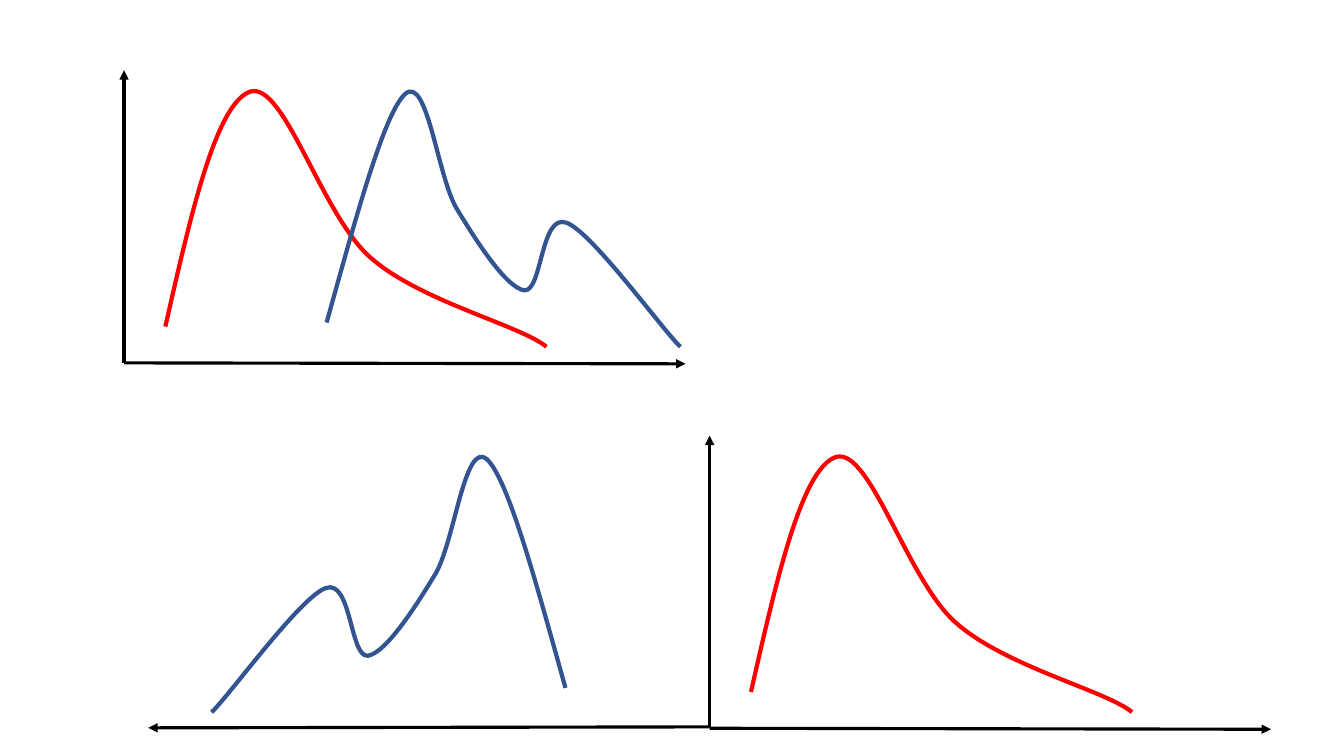
from lxml import etree
from pptx import Presentation
from pptx.dml.color import RGBColor as RGB
from pptx.enum.shapes import MSO_CONNECTOR as CONN
from pptx.oxml.ns import qn
from pptx.util import Pt

BLACK = RGB(0x00, 0x00, 0x00)
RED = RGB(0xFF, 0x00, 0x00)
BLUE = RGB(0x32, 0x54, 0x91)

AXIS_WIDTH, AXIS_HEIGHT, AXIS_DROP = 401, 209, 0.7

# Curves in points from the axes' origin: a start, then
# two control points and an end point for each Bezier segment
ONE_PEAK = [
    (29.5, -25.9),
    (47.5, -105.1), (65.5, -185), (90, -193.7),
    (114.5, -201.6), (141.1, -105.1), (176.4, -74.9),
    (211.7, -43.9), (283.7, -26.6), (301.7, -11.5),
]
TWO_PEAKS = [
    (144.7, -28.8),
    (165.6, -103.7), (185.8, -178.6), (200.9, -192.2),
    (216.7, -205.9), (223.9, -133.2), (237.6, -110.2),
    (252, -86.4), (272.9, -54), (285.8, -51.8),
    (298.8, -50.4), (297.4, -107.3), (316.1, -100.1),
    (334.1, -93.6), (384.5, -23.8), (397.4, -11.5),
]


def add_arrow(shapes, start, end):
    """Draw one axis with an arrowhead at its end."""
    c = shapes.add_connector(CONN.STRAIGHT, *map(Pt, start + end))
    c.line.color.rgb = BLACK
    c.line.width = Pt(2.25)
    etree.SubElement(c.line._get_or_add_ln(), qn("a:tailEnd"), type="triangle")
    etree.SubElement(c._element.spPr, qn("a:effectLst"))


def add_axes(shapes, x, y):
    """Draw an upward and a rightward axis from the origin."""
    add_arrow(shapes, (x, y), (x, y - AXIS_HEIGHT))
    add_arrow(shapes, (x, y), (x + AXIS_WIDTH, y + AXIS_DROP))


def add_curve(shapes, points, origin, color, direction=1):
    """Draw a smooth open curve; direction -1 mirrors it."""
    x0, y0 = origin
    points = [(Pt(x0 + direction * x), Pt(y0 + y)) for x, y in points]
    anchors = points[::3]
    builder = shapes.build_freeform(*anchors[0])
    builder.add_line_segments(anchors[1:], close=False)
    sp = builder.convert_to_shape()
    sp.shadow.inherit = False
    sp.fill.background()
    sp.line.color.rgb = color
    sp.line.width = Pt(3)

    # Turn each straight segment into a Bezier segment
    for i, segment in enumerate(list(sp._element.iter(qn("a:lnTo")))):
        segment.tag = qn("a:cubicBezTo")
        for n, (x, y) in enumerate(points[3 * i + 1:3 * i + 3]):
            pt = etree.Element(qn("a:pt"), x=str(x - sp.left), y=str(y - sp.top))
            segment.insert(n, pt)


def main():
    prs = Presentation()
    prs.slide_width, prs.slide_height = Pt(960), Pt(540)
    shapes = prs.slides.add_slide(prs.slide_layouts[6]).shapes

    # Upper chart: overlapping curves
    upper = (88.6, 259.2)
    add_axes(shapes.add_group_shape().shapes, *upper)
    add_curve(shapes, ONE_PEAK, upper, RED)
    add_curve(shapes, TWO_PEAKS, upper, BLUE)

    # Lower chart: the blue curve mirrored to the left
    x, y = lower = (506.9, 520.2)
    add_axes(shapes, x, y)
    add_curve(shapes, ONE_PEAK, lower, RED)
    add_curve(shapes, TWO_PEAKS, (548.6, y), BLUE, direction=-1)
    add_arrow(shapes, (x, y - 1), (x - AXIS_WIDTH, y - 1 + AXIS_DROP))

    prs.save("out.pptx")


if __name__ == "__main__":
    main()
